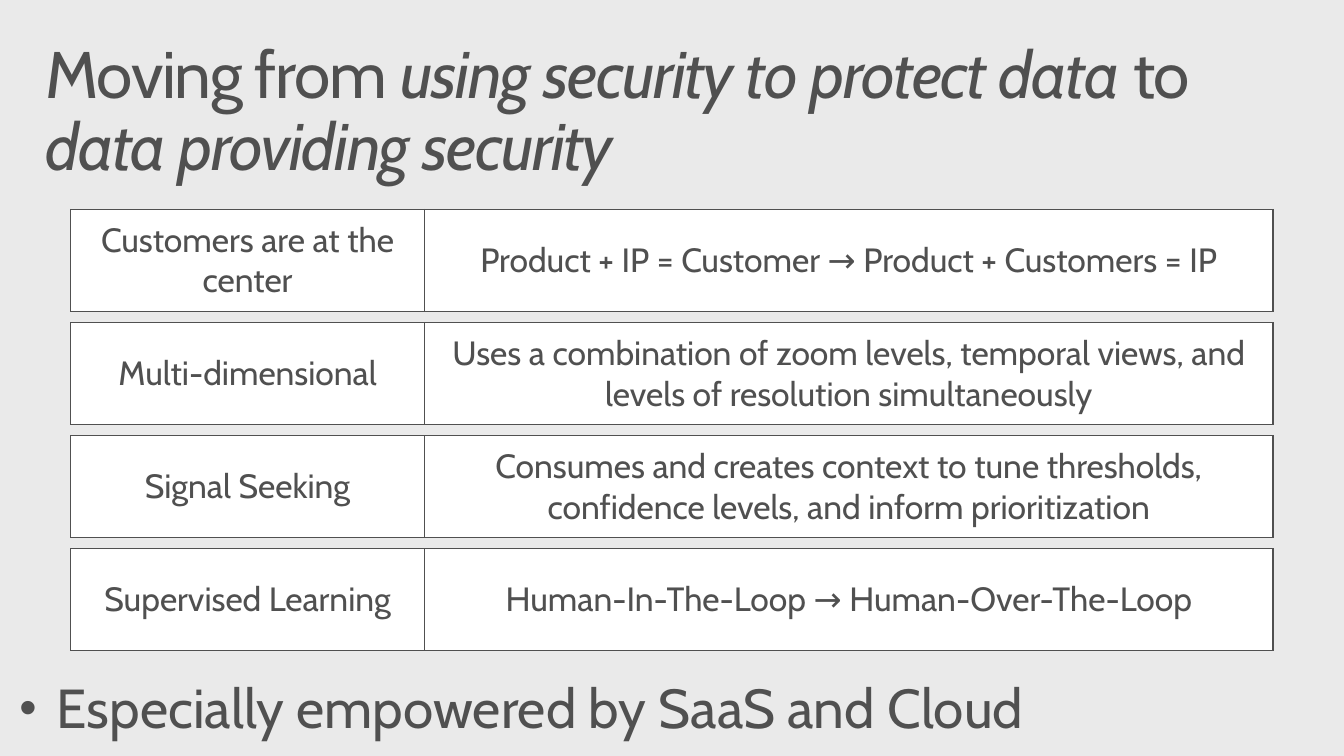
from lxml import etree
from pptx import Presentation
from pptx.dml.color import RGBColor
from pptx.enum.text import MSO_ANCHOR, MSO_AUTO_SIZE, PP_ALIGN
from pptx.oxml.ns import qn
from pptx.util import Cm, Pt

TOP = MSO_ANCHOR.TOP
MIDDLE = MSO_ANCHOR.MIDDLE
NO_AUTOFIT = MSO_AUTO_SIZE.NONE
LEFT = PP_ALIGN.LEFT
CENTER = PP_ALIGN.CENTER
GRAY = "505050"
WHITE = "FFFFFF"
BACKGROUND = "EAEAEA"


def color(hex_string):
    return RGBColor.from_string(hex_string)


def add_run(paragraph, text, size=24, italic=False, spacing=None, align=LEFT):
    paragraph.alignment = align
    run = paragraph.add_run()
    run.text = text
    run.font.name = "Cabin"
    run.font.size = Pt(size)
    run.font.bold = False
    run.font.italic = italic
    run.font.color.rgb = color(GRAY)
    if spacing is not None:
        run.font._element.set("spc", str(spacing))


presentation = Presentation()
presentation.slide_width = Cm(33.87)
presentation.slide_height = Cm(19.05)
slide = presentation.slides.add_slide(presentation.slide_layouts[5])
slide.background.fill.solid()
slide.background.fill.fore_color.rgb = color(BACKGROUND)

title = slide.shapes.title
title.left, title.top, title.width, title.height = Cm(0.74), Cm(0.81), Cm(32.39), Cm(2.49)
takeaway = slide.shapes.add_textbox(Cm(0.08), Cm(16.92), Cm(32.36), Cm(1.89))

for shape in (title, takeaway):
    frame = shape.text_frame
    frame.word_wrap = True
    frame.auto_size = NO_AUTOFIT
    frame.vertical_anchor = TOP
    frame.margin_left = frame.margin_right = Cm(0.41)
    frame.margin_top = frame.margin_bottom = Cm(0.25)
    frame.paragraphs[0].line_spacing = 0.9

title_parts = [
    ("Moving from ", False),
    ("using security to protect data ", True),
    ("to ", False),
    ("data providing security", True),
]
for text, italic in title_parts:
    add_run(title.text_frame.paragraphs[0], text, size=47, italic=italic, spacing=-100)

paragraph = takeaway.text_frame.paragraphs[0]
properties = paragraph._p.get_or_add_pPr()
properties.set("marL", str(Cm(0.94)))
properties.set("indent", str(-Cm(0.94)))
etree.SubElement(properties, qn("a:buSzPct"), val="90000")
etree.SubElement(properties, qn("a:buFont"), typeface="Arial")
etree.SubElement(properties, qn("a:buChar"), char="•")
add_run(paragraph, "Especially empowered by SaaS and Cloud", size=39.2)

principles = [
    ("Customers are at the center", "Product + IP = Customer → Product + Customers = IP"),
    ("Multi-dimensional",
     "Uses a combination of zoom levels, temporal views, and levels of resolution simultaneously"),
    ("Signal Seeking",
     "Consumes and creates context to tune thresholds, confidence levels, and inform prioritization"),
    ("Supervised Learning", "Human-In-The-Loop → Human-Over-The-Loop"),
]
column_widths = (8.92, 21.38)
row_height = 2.57
first_top = 5.28
row_step = 2.85

for row, principle in enumerate(principles):
    table = slide.shapes.add_table(
        1, 2, Cm(1.78), Cm(first_top + row * row_step), Cm(sum(column_widths)), Cm(row_height)
    ).table
    table.first_row = False
    table.horz_banding = False
    for column, text in enumerate(principle):
        table.columns[column].width = Cm(column_widths[column])
        cell = table.cell(0, column)
        cell.fill.solid()
        cell.fill.fore_color.rgb = color(WHITE)
        cell.vertical_anchor = MIDDLE
        cell.margin_left = cell.margin_right = Cm(0.25)
        cell.margin_top = cell.margin_bottom = Cm(0.13)
        add_run(cell.text_frame.paragraphs[0], text, align=CENTER)
        cell_properties = cell._tc.get_or_add_tcPr()
        for position, side in enumerate(("a:lnL", "a:lnR", "a:lnT", "a:lnB")):
            border = etree.Element(qn(side), w=str(Pt(1)))
            border_fill = etree.SubElement(border, qn("a:solidFill"))
            etree.SubElement(border_fill, qn("a:srgbClr"), val=GRAY)
            cell_properties.insert(position, border)

presentation.save("out.pptx")
